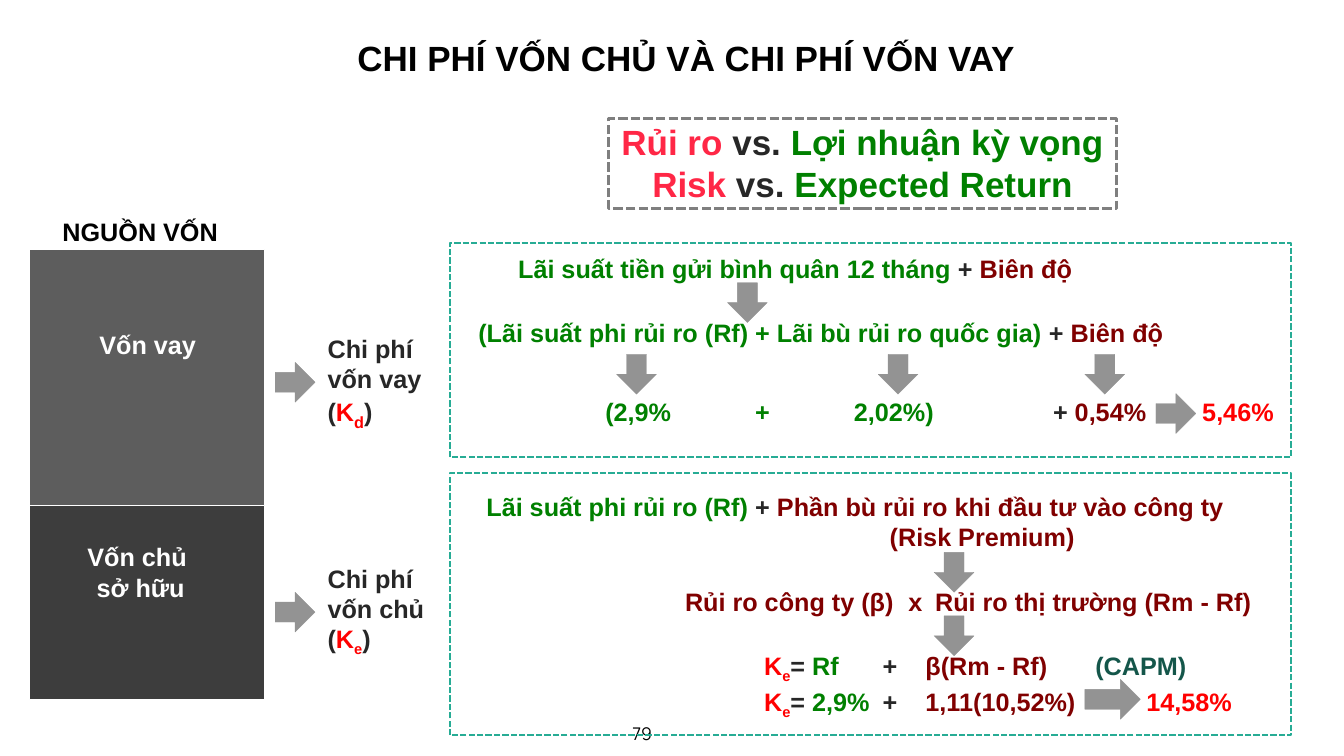
from lxml import etree
from pptx import Presentation
from pptx.dml.color import RGBColor
from pptx.enum.dml import MSO_LINE
from pptx.enum.shapes import MSO_SHAPE
from pptx.enum.text import MSO_ANCHOR, PP_ALIGN
from pptx.oxml.ns import qn
from pptx.util import Inches, Pt

RECTANGLE = MSO_SHAPE.RECTANGLE
RIGHT_ARROW = MSO_SHAPE.RIGHT_ARROW
DASH = MSO_LINE.SQUARE_DOT
LEFT, CENTER = PP_ALIGN.LEFT, PP_ALIGN.CENTER
TOP, MIDDLE = MSO_ANCHOR.TOP, MSO_ANCHOR.MIDDLE

COLORS = {
    "black": "000000", "white": "FFFFFF", "ink": "272727",
    "debt": "5D5D5D", "equity": "3D3D3D", "arrow": "939393",
    "frame": "7F7F7F", "teal": "27AC95", "deep_teal": "14564A",
    "green": "008000", "maroon": "800000", "red": "FF0000", "risk": "FF2746",
}
ARROW_SIZE = 0.79
LINE_HEIGHT = 0.71
SUBSCRIPT = -25


def color(name):
    """Return the named colour."""
    return RGBColor.from_string(COLORS[name])


def write_runs(paragraph, runs, size=36, font="Arial", bold=True):
    """Add (text, colour[, baseline[, size]]) runs to a paragraph."""
    for text, color_name, *extra in runs:
        run = paragraph.add_run()
        run.text = text
        run.font.name = font
        run.font.size = Pt(extra[1] if len(extra) > 1 else size)
        run.font.bold = bold
        run.font.color.rgb = color(color_name)
        if extra:
            run.font._element.set("baseline", str(extra[0] * 1000))


def fill_frame(frame, lines, align=LEFT, anchor=TOP, wrap=True, tabs=(), **style):
    """Write one paragraph for each list of runs."""
    frame.word_wrap = wrap
    frame.vertical_anchor = anchor
    for index, runs in enumerate(lines):
        paragraph = frame.paragraphs[0] if index == 0 else frame.add_paragraph()
        paragraph.alignment = align
        if tabs:
            properties = paragraph._p.get_or_add_pPr()
            tab_list = etree.SubElement(properties, qn("a:tabLst"))
            for position in tabs:
                etree.SubElement(tab_list, qn("a:tab"), pos=str(Inches(position)), algn="l")
        write_runs(paragraph, runs, **style)


def add_text(shapes, box, lines, **options):
    """Add a text box and return its frame."""
    frame = shapes.add_textbox(*map(Inches, box)).text_frame
    fill_frame(frame, lines, **options)
    return frame


def add_box(shapes, box, fill=None, line="white", width=0.5, dash=None, kind=RECTANGLE):
    """Add a flat preset shape."""
    shape = shapes.add_shape(kind, *map(Inches, box))
    shape.shadow.inherit = False
    if fill:
        shape.fill.solid()
        shape.fill.fore_color.rgb = color(fill)
    else:
        shape.fill.background()
    shape.line.color.rgb = color(line)
    shape.line.width = Pt(width)
    if dash:
        shape.line.dash_style = dash
    return shape


def add_arrow(shapes, left, top, width=ARROW_SIZE, rotation=0):
    """Add a grey block arrow."""
    box = (left, top, width, ARROW_SIZE)
    arrow = add_box(shapes, box, "arrow", "arrow", kind=RIGHT_ARROW)
    arrow.rotation = rotation


def add_title(shapes, box):
    """Place the slide title."""
    frame = add_text(shapes, box, [[("CHI PHÍ VỐN CHỦ VÀ CHI PHÍ VỐN VAY", "black")]], size=50)
    frame.paragraphs[0].line_spacing = 1.1


def add_risk_return(shapes, box):
    """Place the framed risk and return headline."""
    frame = add_box(shapes, box, line="frame", width=4.5, dash=DASH).text_frame
    pairs = [("Rủi ro", "Lợi nhuận kỳ vọng"), ("Risk", "Expected Return")]
    lines = [[(risk, "risk"), (" vs. ", "ink"), (reward, "green")] for risk, reward in pairs]
    fill_frame(frame, lines, align=CENTER, size=50)


def add_capital_stack(shapes, box):
    """Place the stacked capital sources under their heading."""
    left, top, width, height = box
    debt_height = 5.07
    group = shapes.add_group_shape().shapes
    add_box(group, (left, top, width, debt_height), "debt")
    add_box(group, (left, top + debt_height, width, height - debt_height), "equity")
    add_text(group, (left + 0.54, top - LINE_HEIGHT, 3.32, LINE_HEIGHT),
             [[("NGUỒN VỐN", "black")]], align=CENTER, anchor=MIDDLE, wrap=False)
    add_text(group, (left + 0.6, top + 1.54, 3.5, LINE_HEIGHT),
             [[("Vốn vay", "white")]], align=CENTER)
    add_text(group, (left + 0.46, top + 5.75, 3.5, 1.31),
             [[("Vốn chủ ", "white")], [("sở hữu", "white")]], align=CENTER)


def add_cost_label(shapes, box, name, subscript, subscript_size):
    """Place an arrow and the cost it leads to."""
    left, top, width, height = box
    add_arrow(shapes, left, top + 0.63)
    runs = [(f"Chi phí {name} (", "ink"), ("K", "red"),
            (subscript, "red", SUBSCRIPT, subscript_size), (")", "ink")]
    add_text(shapes, (left + 0.94, top, width - 0.94, height), [runs])


def add_debt_panel(shapes, box):
    """Place the cost of debt build-up."""
    left, top, width, height = box
    add_box(shapes, box, line="teal", width=3, dash=DASH)
    margin = [(" + ", "ink"), ("Biên độ", "maroon")]
    add_text(shapes, (left + 1.26, top + 0.16, 11.34, LINE_HEIGHT),
             [[("Lãi suất tiền gửi bình quân 12 tháng", "green")] + margin])
    add_text(shapes, (left + 0.47, top + 1.42, 14.17, LINE_HEIGHT),
             [[("(Lãi suất phi rủi ro (Rf) + Lãi bù rủi ro quốc gia)", "green")] + margin])
    add_text(shapes, (left + 2.99, top + 2.99, 14.17, LINE_HEIGHT),
             [[("(2,9%\t+\t2,02%)", "green"), ("\t+ ", "ink"),
               ("0,54%", "maroon"), ("\t5,46%", "red")]],
             tabs=(2.97, 4.93, 8.88, 11.84))
    add_arrow(shapes, left + 5.51, top + 0.79, rotation=90)
    for offset in (3.31, 8.5, 12.6):
        add_arrow(shapes, left + offset, top + 2.21, rotation=90)
    add_arrow(shapes, left + 14.01, top + 2.99)


def add_equity_panel(shapes, box):
    """Place the cost of equity build-up."""
    left, top, width, height = box
    add_box(shapes, box, line="teal", width=3, dash=DASH)
    add_text(shapes, (left + 0.63, top + 0.31, 15.9, 1.31),
             [[("Lãi suất phi rủi ro (Rf)", "green"), (" + ", "ink"),
               ("Phần bù rủi ro khi đầu tư vào công ty", "maroon")],
              [("\t(Risk Premium)", "maroon")]], tabs=(8,))
    add_text(shapes, (left + 4.57, top + 2.2, 11.65, LINE_HEIGHT),
             [[("Rủi ro công ty (β)\tx\tRủi ro thị trường (Rm - Rf)", "maroon")]],
             tabs=(4.43, 4.96))
    formulas = [
        ("Rf", "β(Rm - Rf)", ("\t(CAPM)", "deep_teal"), 6.57),
        ("2,9%", "1,11(10,52%)", ("\t14,58%", "red"), 7.58),
    ]
    for index, (risk_free, premium, ending, last_tab) in enumerate(formulas):
        runs = [("K", "red"), ("e", "red", SUBSCRIPT), ("= ", "ink"), (risk_free, "green"),
                ("\t+", "ink"), (f"\t{premium}", "maroon"), ending]
        add_text(shapes, (left + 6.14, top + 3.46 + index * LINE_HEIGHT, 9.76, LINE_HEIGHT),
                 [runs], tabs=(2.35, 3.2, last_tab))
    for offset in (1.57, 2.83):
        add_arrow(shapes, left + 9.61, top + offset, rotation=90)
    add_arrow(shapes, left + 12.6, top + 4.09, width=1.1)


def add_page_number(shapes, box):
    """Place the page number."""
    add_text(shapes, box, [[("79", "black")]], align=CENTER,
             size=25, font="Manrope", bold=False)


def main():
    """Build and save the slide."""
    presentation = Presentation()
    presentation.slide_width = Inches(26.66)
    presentation.slide_height = Inches(15)
    slide = presentation.slides.add_slide(presentation.slide_layouts[6])
    shapes = slide.shapes
    add_page_number(shapes, (11.95, 14.29, 1.58, 0.52))
    add_title(shapes, (6.99, 0.6, 16.45, 0.95))
    add_capital_stack(shapes, (0.58, 4.95, 4.67, 8.92))
    add_cost_label(shapes, (5.46, 6.56, 3.3, 1.92), "vốn vay", "d", 40)
    add_cost_label(shapes, (5.46, 11.12, 3.3, 1.92), "vốn chủ", "e", 36)
    add_risk_return(shapes, (12.07, 2.35, 10.08, 1.78))
    add_debt_panel(shapes, (8.92, 4.82, 16.69, 4.25))
    add_equity_panel(shapes, (8.92, 9.39, 16.69, 5.2))
    presentation.save("out.pptx")


if __name__ == "__main__":
    main()
